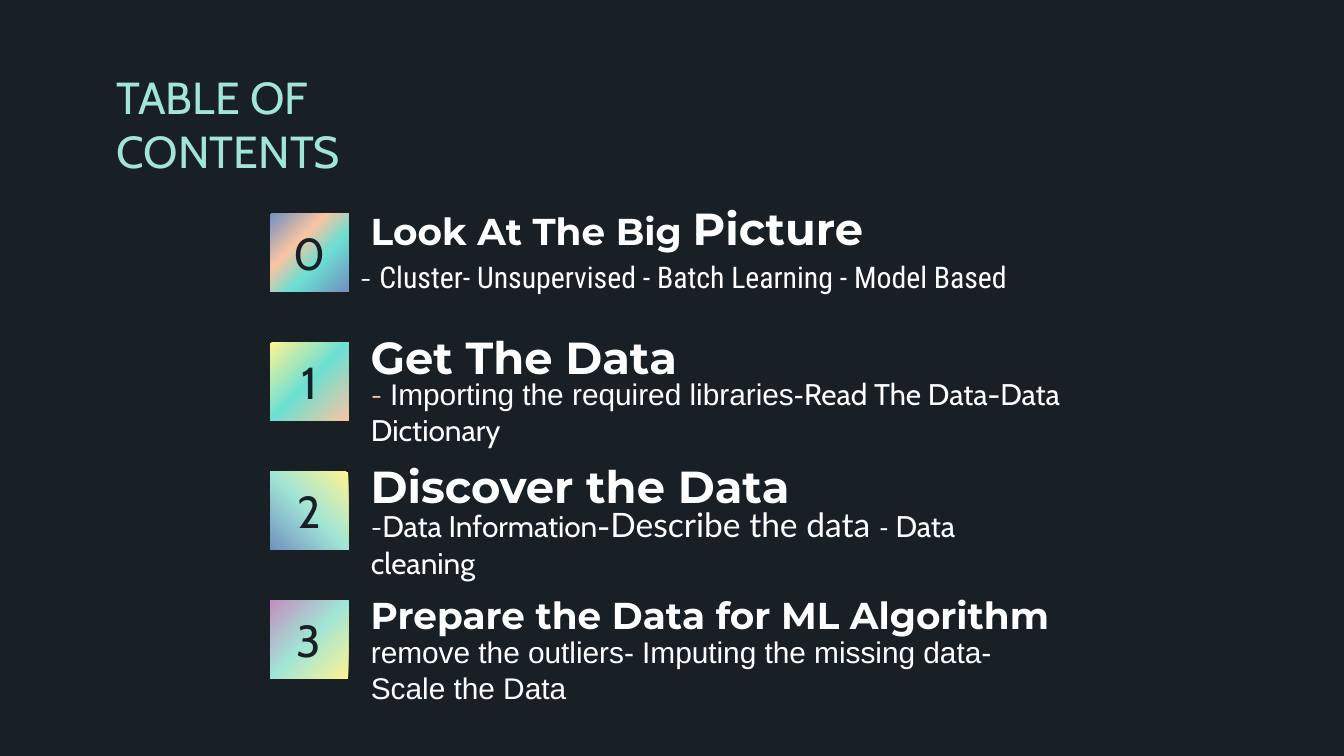
import pptx
import pptx.util
import lxml.etree
from pptx.dml.color import RGBColor
from pptx.enum.shapes import MSO_SHAPE
from pptx.enum.text import MSO_ANCHOR, MSO_AUTO_SIZE, PP_ALIGN
from pptx.oxml.ns import qn
from pptx.util import Inches

DARK = RGBColor(0x18, 0x20, 0x26)
WHITE = RGBColor(0xFF, 0xFF, 0xFF)
MINT = RGBColor(0xA1, 0xE5, 0xD6)
PEACH = RGBColor(0xFA, 0xC4, 0xA2)
YELLOW = RGBColor(0xFF, 0xF3, 0x93)
TURQUOISE = RGBColor(0x6C, 0xE0, 0xD3)
BLUE = RGBColor(0x71, 0x91, 0xC0)
PURPLE = RGBColor(0xC1, 0x90, 0xBF)

# Runs are (text, font, size, colour). A lift raises the detail text in its box.
SECTIONS = [
    {
        "angle": 45,
        "stops": [(0, BLUE), (36, PEACH), (62, TURQUOISE), (100, BLUE)],
        "heading": [("Look At The Big ", "Montserrat", 20, WHITE),
                    ("Picture", "Montserrat", 24, WHITE)],
        "detail": [("- ", "Montserrat", 16, WHITE),
                   ("Cluster- Unsupervised - Batch Learning - Model Based",
                    "Roboto Condensed", 16, WHITE)],
        "detail_at": (2.58, 2.0), "lift": 0.13,
    },
    {
        "angle": 45,
        "stops": [(0, YELLOW), (50, TURQUOISE), (100, PEACH)],
        "heading": [("Get The Data", "Montserrat", 24, WHITE)],
        "detail": [("- ", "Montserrat", 16, PEACH),
                   ("Importing the required libraries-", "Arial", 16, WHITE),
                   ("Read The Data-Data Dictionary", "Cabin", 16, WHITE)],
        "detail_at": (2.66, 3.01), "lift": 0.13,
    },
    {
        "angle": 135,
        "stops": [(0, YELLOW), (50, MINT), (100, BLUE)],
        "heading": [("Discover the Data", "Montserrat", 24, WHITE)],
        "detail": [("-", "Montserrat", 16, WHITE),
                   ("Data Information-", "Cabin", 16, WHITE),
                   ("Describe the data ", "Lato", 18, WHITE),
                   ("-", "Lato", 14, WHITE),
                   (" Data cleaning", "Cabin", 16, WHITE)],
        "detail_at": (2.66, 3.85), "lift": 0,
    },
    {
        "angle": 225,
        "stops": [(0, YELLOW), (50, MINT), (100, PURPLE)],
        "heading": [("Prepare the Data for ML Algorithm", "Montserrat", 20, WHITE)],
        "detail": [("remove the outliers- Imputing the missing data- Scale the Data",
                    "Arial", 16, WHITE)],
        "detail_at": (2.66, 4.93), "lift": 0.13,
    },
]

TILE_LEFT, TILE_TOP, TILE_SIZE = 2.01, 1.59, 0.58
HEADING_LEFT, HEADING_TOP = 2.66, 1.51
ROW_PITCH = 0.96
TEXT_WIDTH, TEXT_HEIGHT = 5.33, 0.37
INSET = 0.1


def place(shape, left, top, width, height):
    shape.left, shape.top = Inches(left), Inches(top)
    shape.width, shape.height = Inches(width), Inches(height)


def write(shape, runs, bold=False, align=PP_ALIGN.LEFT,
          anchor=MSO_ANCHOR.MIDDLE, lift=0):
    frame = shape.text_frame
    frame.word_wrap = True
    frame.auto_size = MSO_AUTO_SIZE.NONE
    frame.vertical_anchor = anchor
    frame.margin_left = frame.margin_right = Inches(INSET)
    frame.margin_top = Inches(max(INSET - lift, 0))
    frame.margin_bottom = Inches(INSET + lift + max(lift - INSET, 0))
    paragraph = frame.paragraphs[0]
    paragraph.alignment = align
    paragraph.space_before = pptx.util.Pt(0)
    for text, font, size, colour in runs:
        run = paragraph.add_run()
        run.text = text
        run.font.name = font
        run.font.size = pptx.util.Pt(size)
        run.font.bold = bold
        run.font.color.rgb = colour


def remove_bullet(shape):
    properties = shape.text_frame.paragraphs[0]._p.get_or_add_pPr()
    properties.set("marL", "0")
    properties.set("indent", "0")
    lxml.etree.SubElement(properties, qn("a:buNone"))


def fill_gradient(shape, stops, angle):
    """Fill with any number of stops; the angle runs clockwise."""
    shape.fill.gradient()
    shape.fill.gradient_angle = 360 - angle
    stop_list = shape._element.spPr.find(".//" + qn("a:gsLst"))
    for stop in list(stop_list):
        stop_list.remove(stop)
    for percent, colour in stops:
        stop = lxml.etree.SubElement(stop_list, qn("a:gs"), pos=str(percent * 1000))
        lxml.etree.SubElement(stop, qn("a:srgbClr"), val=str(colour))


def main():
    presentation = pptx.Presentation()
    presentation.slide_width = Inches(10)
    presentation.slide_height = Inches(10 * 9 / 16)
    comparison_layout = presentation.slide_layouts[4]
    slide = presentation.slides.add_slide(comparison_layout)
    slide.background.fill.solid()
    slide.background.fill.fore_color.rgb = DARK

    title = slide.shapes.title
    place(title, 0.77, 0.42, 2.93, 0.93)
    write(title, [("TABLE OF CONTENTS", "Cabin", 24, MINT)], anchor=MSO_ANCHOR.TOP)

    details = [slide.placeholders[index] for index in (1, 2, 3, 4)]
    for number, (section, detail) in enumerate(zip(SECTIONS, details)):
        offset = number * ROW_PITCH

        tile = slide.shapes.add_shape(
            MSO_SHAPE.RECTANGLE, Inches(TILE_LEFT), Inches(TILE_TOP + offset),
            Inches(TILE_SIZE), Inches(TILE_SIZE))
        tile.shadow.inherit = False
        tile.line.fill.background()
        fill_gradient(tile, section["stops"], section["angle"])

        label = slide.shapes.add_textbox(0, 0, 0, 0)
        place(label, TILE_LEFT + 0.04, TILE_TOP + offset, 0.5, TILE_SIZE)
        write(label, [(str(number), "Cabin", 24, DARK)], align=PP_ALIGN.CENTER)

        heading = slide.shapes.add_textbox(0, 0, 0, 0)
        place(heading, HEADING_LEFT, HEADING_TOP + offset, TEXT_WIDTH, TEXT_HEIGHT)
        write(heading, section["heading"], bold=True)

        place(detail, *section["detail_at"], TEXT_WIDTH, TEXT_HEIGHT)
        write(detail, section["detail"], lift=section["lift"])
        remove_bullet(detail)

    presentation.save("out.pptx")


if __name__ == "__main__":
    main()
